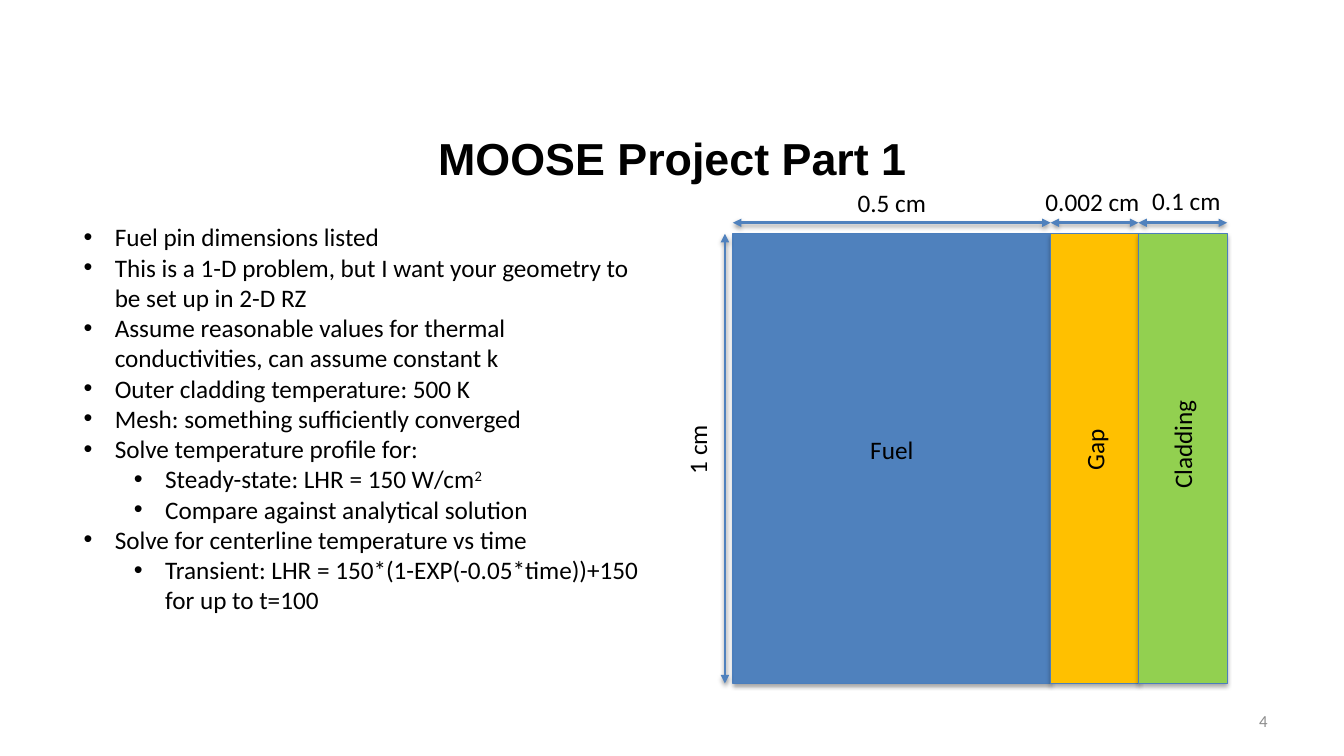
from pptx import Presentation
from pptx.dml.color import RGBColor
from pptx.enum.shapes import MSO_CONNECTOR, MSO_SHAPE
from pptx.enum.text import MSO_ANCHOR, PP_ALIGN
from pptx.oxml import parse_xml
from pptx.oxml.ns import nsdecls
from pptx.util import Pt
from lxml.etree import SubElement

PX = 9144  # EMU, 100 px to the inch
NS = "{http://schemas.openxmlformats.org/drawingml/2006/main}"
rgb = RGBColor.from_string


def add_text(words, left, top, width, height, align=PP_ALIGN.CENTER,
             size=18, font="Calibri", color="000000", anchor=MSO_ANCHOR.TOP):
    box = slide.shapes.add_textbox(left * PX, top * PX, width * PX, height * PX)
    frame = box.text_frame
    frame.word_wrap = True
    frame.vertical_anchor = anchor
    frame.text = words
    for para in frame.paragraphs:
        para.alignment = align
        for run in para.runs:
            run.font.size = Pt(size)
            run.font.name = font
            run.font.color.rgb = rgb(color)
    return box


def add_shadow(shape, dist, alpha):
    shape._element.spPr.append(parse_xml(
        f'<a:effectLst {nsdecls("a")}><a:outerShdw blurRad="40000" dist="{dist}" '
        f'dir="5400000" rotWithShape="0"><a:srgbClr val="000000">'
        f'<a:alpha val="{alpha}000"/></a:srgbClr></a:outerShdw></a:effectLst>'))


deck = Presentation()
deck.slide_width, deck.slide_height = 1333 * PX, 750 * PX
slide = deck.slides.add_slide(deck.slide_layouts[6])

# Title and slide number
title = add_text("MOOSE Project Part 1", 67, 98, 1200, 117, size=32,
                 font="Arial", anchor=MSO_ANCHOR.MIDDLE)
title.text_frame.paragraphs[0].runs[0].font.bold = True
add_text("4", 956, 695, 311, 40, PP_ALIGN.RIGHT, 12, color="8C8C8C",
         anchor=MSO_ANCHOR.MIDDLE)

# Layers of the fuel pin
TOP, TALL = 232, 446
EDGES = [727, 1042, 1129, 1217]
for left, right, color in zip(EDGES, EDGES[1:], ["4F81BD", "FFC000", "92D050"]):
    layer = slide.shapes.add_shape(MSO_SHAPE.RECTANGLE, left * PX, TOP * PX,
                                   (right - left) * PX, TALL * PX)
    layer.fill.solid()
    layer.fill.fore_color.rgb = rgb(color)
    layer.line.color.rgb = rgb("4B7EBC")
    layer.line.width = Pt(0.75)
    add_shadow(layer, 23000, 35)

# Dimension arrows
spans = [(left, 221, right, 221) for left, right in zip(EDGES, EDGES[1:])]
spans.append((719, TOP + TALL, 719, TOP))
for span in spans:
    arrow = slide.shapes.add_connector(MSO_CONNECTOR.STRAIGHT,
                                       *[x * PX for x in span])
    arrow.line.color.rgb = rgb("4F81BD")
    arrow.line.width = Pt(2)
    for end in ("headEnd", "tailEnd"):
        SubElement(arrow.line._get_or_add_ln(), NS + end, type="triangle")
    add_shadow(arrow, 20000, 38)

# Task list
tasks = [
    (0, "Fuel pin dimensions listed"),
    (0, "This is a 1-D problem, but I want your geometry to be set up in 2-D RZ"),
    (0, "Assume reasonable values for thermal conductivities, can assume constant k"),
    (0, "Outer cladding temperature: 500 K"),
    (0, "Mesh: something sufficiently converged"),
    (0, "Solve temperature profile for:"),
    (1, "Steady-state: LHR = 150 W/cm"),
    (1, "Compare against analytical solution"),
    (0, "Solve for centerline temperature vs time"),
    (1, "Transient: LHR = 150*(1-EXP(-0.05*time))+150 for up to t=100"),
]
notes = add_text("\n".join(words for _, words in tasks), 73, 215, 575, 404,
                 PP_ALIGN.LEFT)
for para, (level, words) in zip(notes.text_frame.paragraphs, tasks):
    para.level = level
    props = para._p.get_or_add_pPr()
    props.set("marL", str((31 + 50 * level) * PX))
    props.set("indent", str(-31 * PX))
    SubElement(props, NS + "buFont", typeface="Arial")
    SubElement(props, NS + "buChar", char="•")
    if words.endswith("W/cm"):
        power = para.add_run()
        power.text = "2"
        power.font.size = Pt(18)
        power.font.name = "Calibri"
        power.font.color.rgb = rgb("000000")
        power.font._element.set("baseline", "30000")

# Labels of layers and dimensions
labels = [
    ("Fuel", 795, 426, 0), ("Gap", 996, 426, 270), ("Cladding", 1083, 421, 270),
    ("0.5 cm", 795, 181, 0), ("0.002 cm", 994, 180, 0), ("0.1 cm", 1087, 179, 0),
    ("1 cm", 602, 426, 270),
]
for words, left, top, turn in labels:
    add_text(words, left, top, 179, 40).rotation = turn

deck.save("out.pptx")
